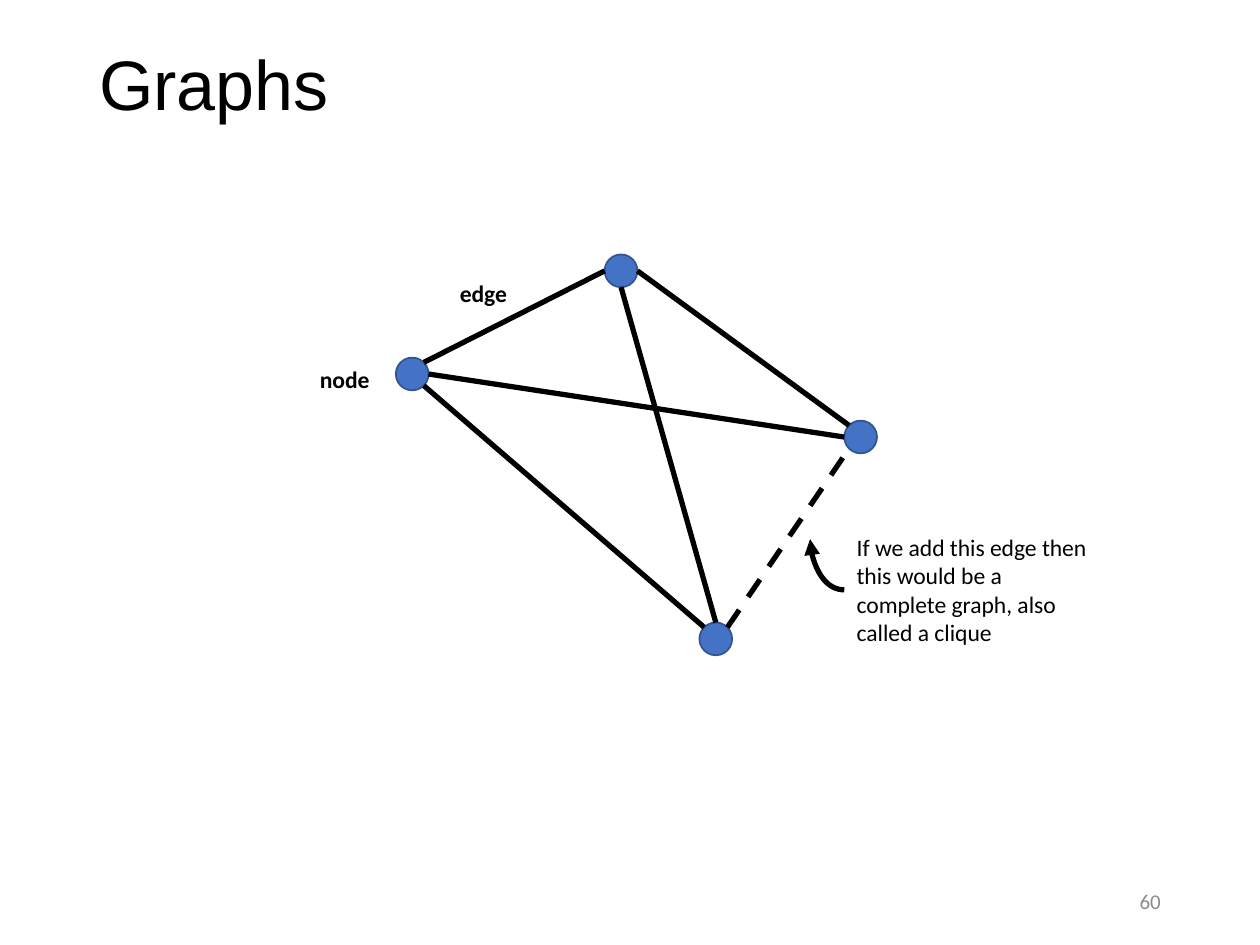
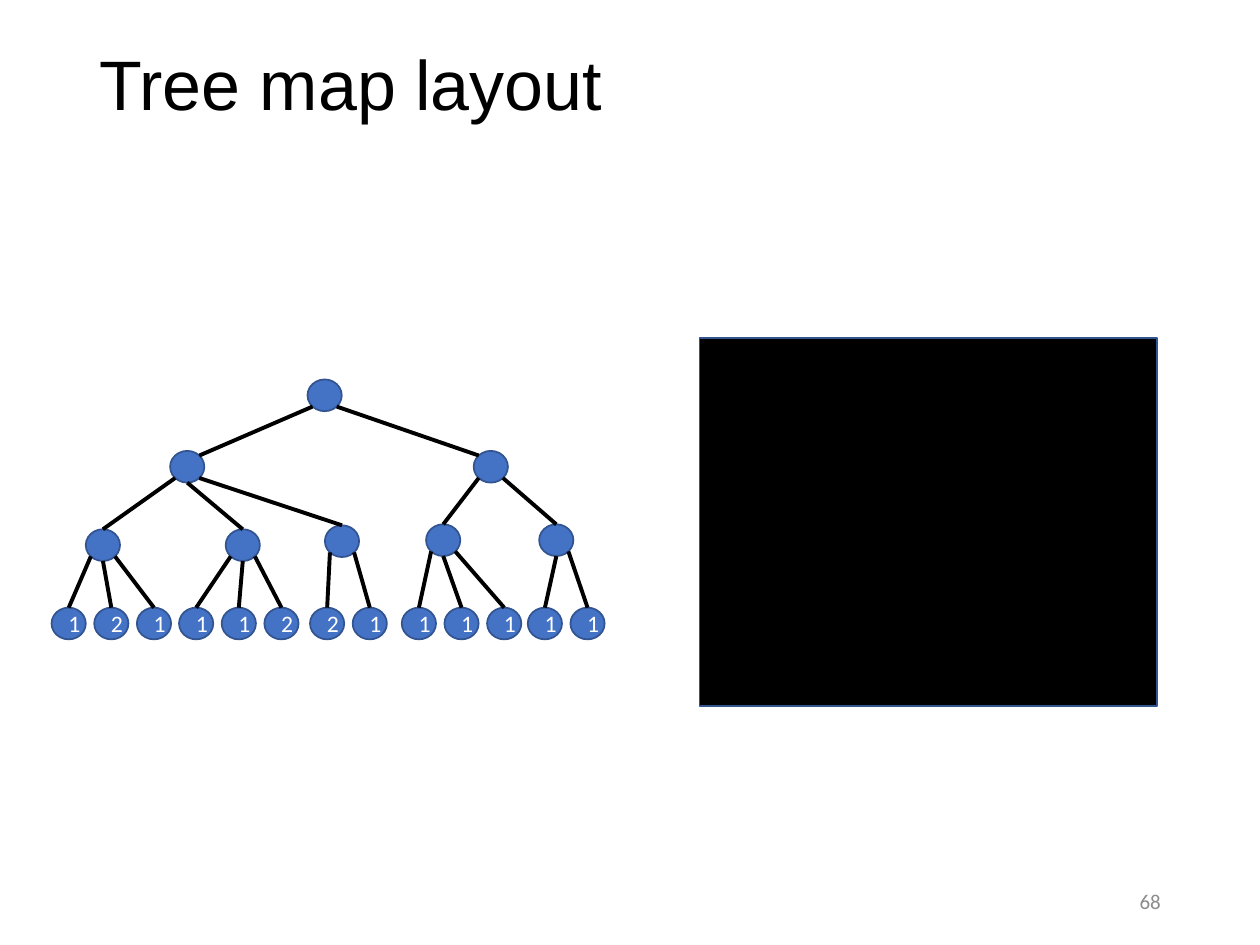
from dataclasses import dataclass
from math import cos, radians, sin

from lxml import etree
from pptx import Presentation
from pptx.dml.color import RGBColor
from pptx.enum.dml import MSO_LINE
from pptx.enum.shapes import MSO_CONNECTOR, MSO_SHAPE
from pptx.enum.text import MSO_ANCHOR, MSO_AUTO_SIZE, PP_ALIGN
from pptx.oxml.ns import qn
from pptx.util import Cm, Pt

OVAL, RECTANGLE = MSO_SHAPE.OVAL, MSO_SHAPE.RECTANGLE
STRAIGHT, CURVE = MSO_CONNECTOR.STRAIGHT, MSO_CONNECTOR.CURVE
TOP, MIDDLE = MSO_ANCHOR.TOP, MSO_ANCHOR.MIDDLE
LEFT, CENTER, RIGHT = PP_ALIGN.LEFT, PP_ALIGN.CENTER, PP_ALIGN.RIGHT
FIT_SHAPE, DASH = MSO_AUTO_SIZE.SHAPE_TO_FIT_TEXT, MSO_LINE.DASH

BLACK, WHITE, GREY = "000000", "FFFFFF", "8C8C8C"
NODE_BLUE, OUTLINE_BLUE = "4472C4", "325491"

TITLE_FONT = {"name": "Arial", "size": Pt(40)}
NUMBER_FONT = {"name": "Calibri", "size": Pt(12)}
BODY_FONT = {"name": "Calibri", "size": Pt(13.5)}
LABEL_FONT = {**BODY_FONT, "bold": True}

# Compass directions on a node's rim, in degrees clockwise from east
COMPASS = {"E": 0, "SE": 45, "S": 90, "SW": 135, "W": 180, "NW": 225, "N": 270, "NE": 315}


# All lengths below are centimetres
@dataclass(frozen=True)
class Node:
    left: float
    top: float
    width: float
    height: float
    text: str = ""

    def rim(self, direction: str) -> tuple[float, float]:
        angle = radians(COMPASS[direction])
        return (self.left + self.width / 2 * (1 + cos(angle)),
                self.top + self.height / 2 * (1 + sin(angle)))


@dataclass(frozen=True)
class Edge:
    start: Node
    leave: str
    end: Node
    arrive: str = "N"
    dashed: bool = False


@dataclass(frozen=True)
class Family:
    parent: Node
    exits: tuple[str, ...]
    first_leaf: float
    values: str


@dataclass(frozen=True)
class TextBlock:
    left: float
    top: float
    width: float
    height: float
    text: str
    font: dict
    color: str = BLACK
    align: PP_ALIGN = LEFT
    anchor: MSO_ANCHOR = TOP
    wrap: bool = True
    grow: bool = False
    spacing: float = 1.0


def color_of(value: str) -> RGBColor:
    return RGBColor.from_string(value)


def write(para, text: str, font: dict, color: str, align) -> None:
    span = para.add_run()
    span.text = text
    for name, value in font.items():
        setattr(span.font, name, value)
    span.font.color.rgb = color_of(color)
    para.alignment = align


def draw_text(page, block: TextBlock) -> None:
    box = page.shapes.add_textbox(Cm(block.left), Cm(block.top), Cm(block.width), Cm(block.height))
    frame = box.text_frame
    settings = {"word_wrap": block.wrap, "vertical_anchor": block.anchor}
    if block.grow:
        settings["auto_size"] = FIT_SHAPE
    for name, value in settings.items():
        setattr(frame, name, value)
    para = frame.paragraphs[0]
    para.line_spacing = block.spacing
    write(para, block.text, block.font, block.color, block.align)


def draw_shape(shapes, kind, left: float, top: float, width: float, height: float, fill: str):
    shape = shapes.add_shape(kind, Cm(left), Cm(top), Cm(width), Cm(height))
    shape.shadow.inherit = False
    shape.fill.solid()
    shape.fill.fore_color.rgb = color_of(fill)
    shape.line.color.rgb = color_of(OUTLINE_BLUE)
    shape.line.width = Pt(1)
    return shape


def draw_node(shapes, node: Node) -> None:
    oval = draw_shape(shapes, OVAL, node.left, node.top, node.width, node.height, NODE_BLUE)
    if node.text:
        write(oval.text_frame.paragraphs[0], node.text, BODY_FONT, WHITE, CENTER)


def draw_line(shapes, kind, start: tuple[float, float], end: tuple[float, float], weight: float):
    line = shapes.add_connector(kind, *(Cm(value) for value in (*start, *end)))
    line.line.color.rgb = color_of(BLACK)
    line.line.width = Pt(weight)
    etree.SubElement(line._element.spPr, qn("a:effectLst"))
    return line


def draw_edge(shapes, edge: Edge, weight: float) -> None:
    line = draw_line(shapes, STRAIGHT, edge.start.rim(edge.leave), edge.end.rim(edge.arrive), weight)
    if edge.dashed:
        line.line.dash_style = DASH


def draw_network(shapes, nodes: list[Node], edges: list[Edge], weight: float) -> None:
    for node in nodes:
        draw_node(shapes, node)
    for edge in edges:
        draw_edge(shapes, edge, weight)


def draw_bent_arrow(shapes, tip: tuple[float, float], tail: tuple[float, float]) -> None:
    """Quarter curve leaving the tail sideways and rising to the tip."""
    arrow = draw_line(shapes, CURVE, tip, tail, 3)
    properties = arrow._element.spPr
    properties.find(qn("a:xfrm")).set("rot", "10800000")
    properties.find(qn("a:prstGeom")).set("prst", "curvedConnector2")
    etree.SubElement(properties.find(qn("a:ln")), qn("a:tailEnd"), type="triangle")


def add_page(deck, title: str, number: str):
    page = deck.slides.add_slide(deck.slide_layouts[6])
    draw_text(page, TextBlock(1.75, 0.51, 21.89, 2.51, title, TITLE_FONT,
                              anchor=MIDDLE, spacing=0.9))
    draw_text(page, TextBlock(17.93, 17.65, 5.72, 1.02, number, NUMBER_FONT, GREY, RIGHT, MIDDLE))
    return page


def build_graph_page(deck) -> None:
    page = add_page(deck, "Graphs", "60")
    size = 0.66
    west = Node(7.98, 7.21, size, size)
    south = Node(14.1, 12.55, size, size)
    east = Node(17.02, 8.48, size, size)
    north = Node(12.19, 5.13, size, size)
    edges = [
        Edge(west, "NE", north, "W"),
        Edge(west, "E", east, "W"),
        Edge(west, "SE", south, "NW"),
        Edge(east, "NW", north, "E"),
        Edge(south, "N", north, "S"),
        Edge(south, "NE", east, "SW", dashed=True),
    ]
    draw_network(page.shapes, [west, south, east, north], edges, 3)

    # Labels and the remark on the missing edge
    for block in (
        TextBlock(9.02, 5.49, 1.47, 0.84, "edge", LABEL_FONT, wrap=False, grow=True),
        TextBlock(6.2, 7.24, 1.52, 0.84, "node", LABEL_FONT, wrap=False, grow=True),
        TextBlock(17.02, 10.62, 5.26, 2.57, "If we add this edge then this would be a "
                  "complete graph, also called a clique", BODY_FONT, grow=True),
    ):
        draw_text(page, block)
    draw_bent_arrow(page.shapes, (16.33, 10.87), (17.02, 11.89))


def build_tree_page(deck) -> None:
    page = add_page(deck, "Tree map layout", "68")
    leaf_top, leaf_step = 12.25, 0.86

    def tree_node(left: float, top: float, text: str = "") -> Node:
        return Node(left, top, 0.69, 0.64, text)

    # Upper levels
    root = tree_node(6.2, 7.65)
    left_child, right_child = tree_node(3.43, 9.09), tree_node(9.55, 9.09)
    families = [
        Family(tree_node(1.73, 10.67), ("SW", "S", "SE"), 1.04, "121"),
        Family(tree_node(4.55, 10.67), ("SW", "S", "SE"), 3.61, "112"),
        Family(tree_node(6.55, 10.59), ("SW", "SE"), 6.25, "21"),
        Family(tree_node(8.59, 10.57), ("SW", "S", "SE"), 8.1, "111"),
        Family(tree_node(10.87, 10.57), ("S", "SE"), 10.64, "11"),
    ]
    parents = [family.parent for family in families]
    nodes = [root, left_child, right_child, *parents]
    edges = [Edge(root, "SW", left_child, "NE"), Edge(root, "SE", right_child, "NW")]
    edges += [Edge(left_child, leave, parent)
              for leave, parent in zip(("SW", "S", "SE"), parents[:3])]
    edges += [Edge(right_child, leave, parent)
              for leave, parent in zip(("SW", "SE"), parents[3:])]

    # Leaves, evenly spaced within each family
    for family in families:
        for index, (leave, value) in enumerate(zip(family.exits, family.values)):
            leaf = tree_node(family.first_leaf + index * leaf_step, leaf_top, value)
            nodes.append(leaf)
            edges.append(Edge(family.parent, leave, leaf))
    draw_network(page.shapes.add_group_shape().shapes, nodes, edges, 2.25)

    # Empty area for the tree map
    draw_shape(page.shapes, RECTANGLE, 14.1, 6.81, 9.22, 7.42, BLACK)


def main() -> None:
    deck = Presentation()
    deck.slide_width, deck.slide_height = Cm(25.4), Cm(19.05)
    build_graph_page(deck)
    build_tree_page(deck)
    deck.save("out.pptx")


if __name__ == "__main__":
    main()
